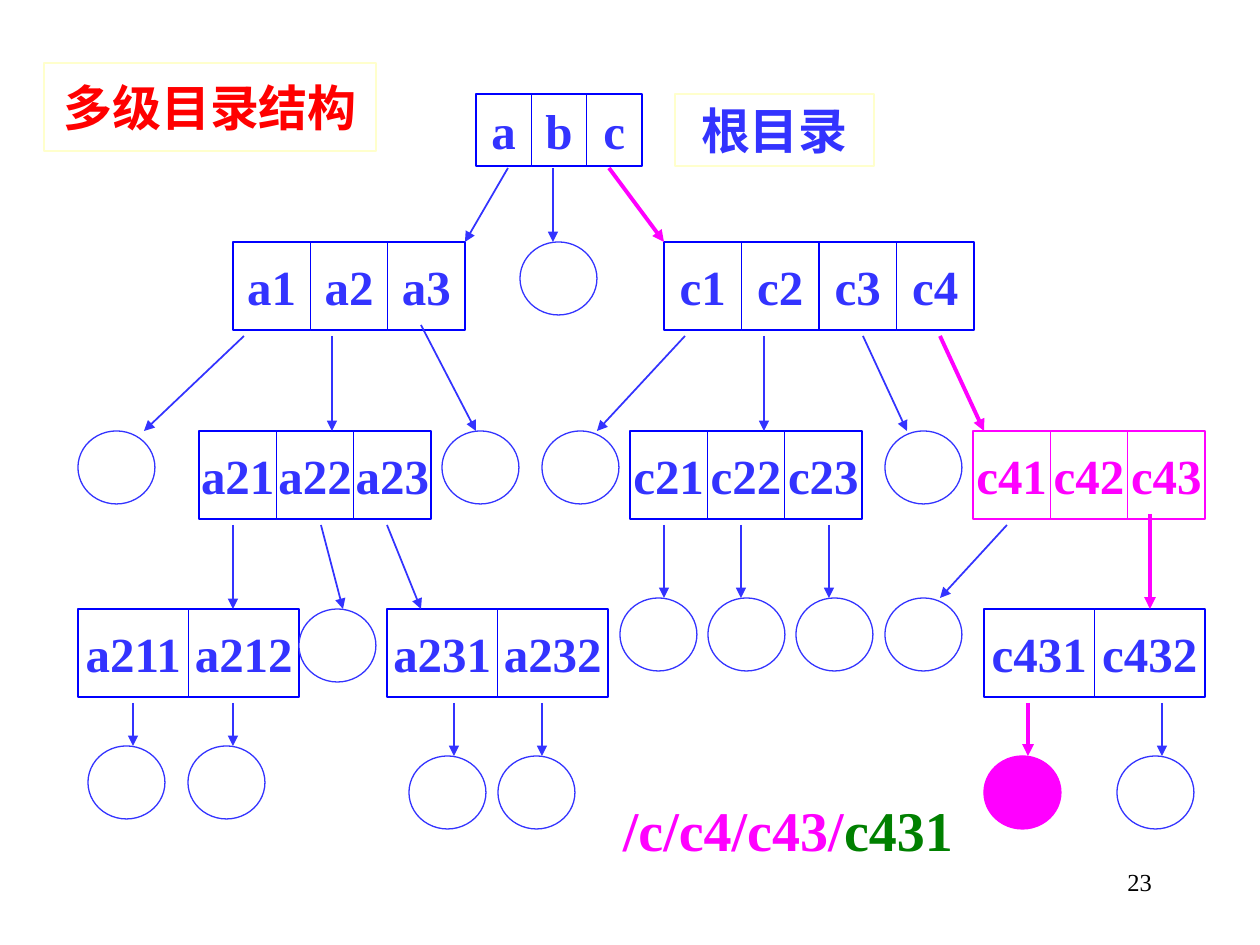
"""Build the slide on the multi-level directory tree."""
from dataclasses import dataclass

from lxml import etree
from pptx import Presentation
from pptx import util as u
from pptx.dml.color import RGBColor
from pptx.enum import shapes, text
from pptx.oxml import ns


@dataclass(frozen=True)
class Theme:
    """Hold the colours, font and type sizes."""
    font: str = "Times New Roman"
    white: str = "FFFFFF"
    black: str = "000000"
    edge: str = "0000FF"
    blue: str = "3333FF"
    hot: str = "FF00FF"
    red: str = "FF0000"
    green: str = "008000"
    pale: str = "FFFFCC"
    small: int = 14
    body: int = 28
    large: int = 32
    thin: float = 0.75
    line: float = 1
    thick: float = 2.25


class Board:
    """Draw styled elements on one slide, with lengths in px."""
    scale = u.Inches(1) / 126

    def __init__(self, slide, theme):
        """Keep the slide and its theme."""
        self.slide, self.theme = slide, theme

    def emu(self, *sizes):
        """Turn px into EMU."""
        return [u.Emu(round(size * self.scale)) for size in sizes]

    def shape(self, kind, area, fill, edge):
        """Add a flat preset shape."""
        item = self.slide.shapes.add_shape(kind, *self.emu(*area))
        item.shadow.inherit = False
        if fill:
            item.fill.solid()
            item.fill.fore_color.rgb = RGBColor.from_string(fill)
        else:
            item.fill.background()
        item.line.color.rgb = RGBColor.from_string(edge)
        item.line.width = u.Pt(self.theme.thin)
        return item

    def letter(self, item, runs, size, align, pad=(13, 6), bold=True):
        """Fill a shape with one paragraph of coloured runs."""
        frame = item.text_frame
        frame.word_wrap = True
        frame.vertical_anchor = text.MSO_ANCHOR.TOP
        side, top = self.emu(*pad)
        frame.margin_left = frame.margin_right = side
        frame.margin_top = frame.margin_bottom = top
        para = frame.paragraphs[0]
        para.alignment = align
        para.font.name, para.font.bold = self.theme.font, bold
        para.font.size = u.Pt(size)
        for words, tint in runs:
            run = para.add_run()
            run.text = words
            run.font.color.rgb = RGBColor.from_string(tint)

    def box(self, area, words, tint, fill, edge, pad):
        """Add a framed box with a centred word."""
        item = self.shape(shapes.MSO_SHAPE.RECTANGLE, area, fill, edge)
        self.letter(item, [(words, tint)], self.theme.body, text.PP_ALIGN.CENTER, pad)

    def row(self, left, top, width, high, names, hot=False, pad=(0, 15)):
        """Add a directory as a row of equal cells."""
        look = self.theme
        tint, edge = (look.hot, look.hot) if hot else (look.blue, look.edge)
        step = width / len(names)
        for spot, name in enumerate(names):
            area = left + spot * step, top, step, high
            self.box(area, name, tint, look.white, edge, pad)

    def file(self, left, top, hot=False):
        """Add a file as an ellipse."""
        look = self.theme
        fill, edge = (look.hot, look.hot) if hot else (look.white, look.blue)
        self.shape(shapes.MSO_SHAPE.OVAL, (left, top, 77, 73), fill, edge)

    def arrow(self, start, top, end, low, hot=False):
        """Add an arrow from a cell to its child."""
        look = self.theme
        ends = self.emu(start, top, end, low)
        item = self.slide.shapes.add_connector(shapes.MSO_CONNECTOR.STRAIGHT, *ends)
        item.line.color.rgb = RGBColor.from_string(look.hot if hot else look.blue)
        item.line.width = u.Pt(look.thick if hot else look.line)
        stroke = item._element.spPr.find(ns.qn("a:ln"))
        etree.SubElement(stroke, ns.qn("a:tailEnd"), type="triangle")
        etree.SubElement(item._element.spPr, ns.qn("a:effectLst"))

    def label(self, area, runs, size, align, bold=True):
        """Add a plain text box."""
        item = self.slide.shapes.add_textbox(*self.emu(*area))
        self.letter(item, runs, size, align, bold=bold)


ROWS = [
    (233, 242, 232, ["a1", "a2", "a3"]),
    (664, 242, 310, ["c1", "c2", "c3", "c4"]),
    (199, 431, 232, ["a21", "a22", "a23"]),
    (630, 431, 232, ["c21", "c22", "c23"]),
    (78, 609, 221, ["a211", "a212"]),
    (387, 609, 221, ["a231", "a232"]),
    (984, 609, 221, ["c431", "c432"]),
]
FILES = {
    242: [520],
    431: [78, 442, 542, 885],
    598: [620, 708, 796, 885],
    609: [299],
    746: [88, 188],
    756: [409, 498, 1117],
}
ARROWS = {
    (168, 242): [(508, 465), (553, 553)],
    (336, 431): [(244, 144), (332, 332), (685, 597), (764, 764), (863, 907)],
    (325, 431): [(421, 476)],
    (525, 609): [(233, 233), (321, 343), (387, 421)],
    (525, 598): [(664, 664), (741, 741), (829, 829), (1007, 940)],
    (703, 746): [(133, 133), (233, 233)],
    (703, 756): [(454, 454), (542, 542), (1162, 1162)],
}
TRAIL = [(609, 168, 664, 242), (940, 336, 984, 431),
         (1150, 514, 1150, 609), (1028, 703, 1028, 756)]


def main():
    """Build and save the slide."""
    deck = Presentation()
    deck.slide_width, deck.slide_height = u.Inches(10), u.Inches(7.5)
    look = Theme()
    board = Board(deck.slides.add_slide(deck.slide_layouts[6]), look)

    board.box((44, 63, 332, 88), "多级目录结构", look.red, None, look.pale, (0, 15))
    board.box((675, 94, 199, 72), "根目录", look.blue, None, look.pale, (13, 6))
    board.row(476, 94, 166, 72, ["a", "b", "c"], pad=(13, 6))
    for left, top, width, names in ROWS:
        board.row(left, top, width, 88, names)
    board.row(973, 431, 232, 88, ["c41", "c42", "c43"], hot=True)

    for top, lefts in FILES.items():
        for left in lefts:
            board.file(left, top)
    board.file(984, 756, hot=True)

    for (top, low), pairs in ARROWS.items():
        for start, end in pairs:
            board.arrow(start, top, end, low)
    for ends in TRAIL:
        board.arrow(*ends, hot=True)

    route = [("/c/c4/c43/", look.hot), ("c431", look.green)]
    board.label((610, 790, 367, 81), route, look.large, text.PP_ALIGN.LEFT)
    board.label((903, 861, 262, 63), [("23", look.black)], look.small,
                text.PP_ALIGN.RIGHT, bold=False)
    deck.save("out.pptx")


if __name__ == "__main__":
    main()
